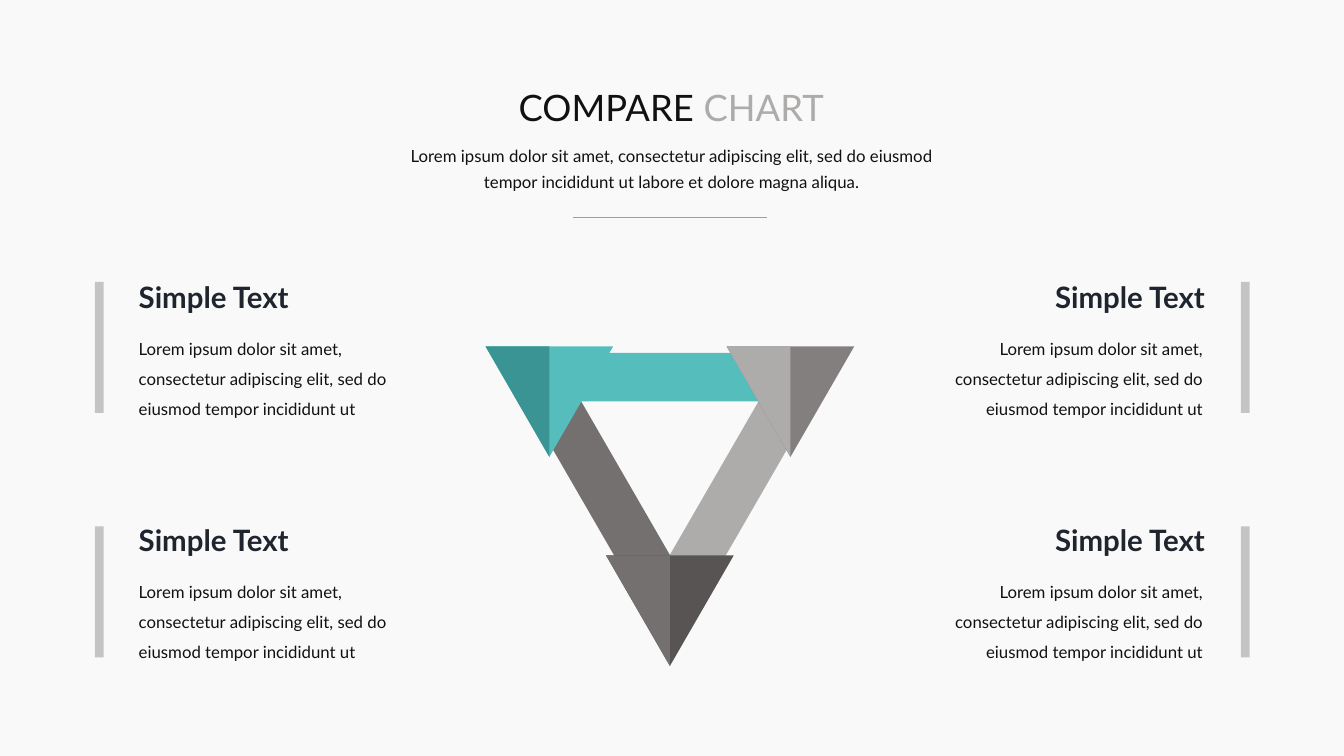
from dataclasses import dataclass

from lxml import etree
from pptx import Presentation
from pptx.dml.color import RGBColor
from pptx.enum.shapes import MSO_CONNECTOR as Connector, MSO_SHAPE as Preset
from pptx.enum.text import MSO_ANCHOR as Anchor, MSO_AUTO_SIZE as AutoSize, PP_ALIGN as Align
from pptx.oxml.ns import qn
from pptx.util import Pt

INK, HEADING_INK, SILVER, TEAL = "111111", "1E252E", "AEABAB", "56BDBD"
GRAPHITE, BAR_GREY, BACKGROUND = "757070", "C4C4C4", "F9F9F9"
FONT = "Lato"
HEADING = "Simple Text"
BODY = "Lorem ipsum dolor sit amet, consectetur adipiscing elit, sed do eiusmod tempor incididunt ut"
INTRO = ("Lorem ipsum dolor sit amet, consectetur adipiscing elit, sed do eiusmod "
         "tempor incididunt ut labore et dolore magna aliqua.")

Point = tuple[float, float]
Box = tuple[float, float, float, float]


@dataclass(frozen=True)
class Arm:
    color: str
    points: list[Point]


@dataclass(frozen=True)
class Corner:
    left: float
    top: float
    left_color: str
    right_color: str


@dataclass(frozen=True)
class Column:
    bar_left: float
    heading_left: float
    body_left: float
    body_width: float
    align: Align


@dataclass(frozen=True)
class Run:
    text: str
    size: float
    color: str = INK
    bold: bool = False


ARMS = [
    Arm(TEAL, [(355, 252), (602, 252), (582, 286.8), (375, 286.8)]),
    Arm(SILVER, [(602, 252), (478.6, 465.7), (458.5, 431), (561.9, 252)]),
    Arm(GRAPHITE, [(395.1, 252), (498.5, 431), (478.6, 465.7), (355, 252)]),
]
CORNER_WIDTH, CORNER_HEIGHT = 91.2, 79
CORNERS = [
    Corner(346.8, 247.4, "3A9494", TEAL),
    Corner(519, 247.4, SILVER, "847F7F"),
    Corner(432.9, 396.7, GRAPHITE, "585454"),
]
COLUMNS = [
    Column(67.8, 92, 92, 206, Align.LEFT),
    Column(886.4, 741.8, 672, 194.4, Align.RIGHT),
]
# Top of the bars and of the headings in each row
ROWS = [(201.3, 195.8), (376, 369.4)]


def rgb(color: str) -> RGBColor:
    return RGBColor.from_string(color)


def paint(shape, color: str) -> None:
    shape.shadow.inherit = False
    shape.fill.solid()
    shape.fill.fore_color.rgb = rgb(color)
    shape.line.fill.background()


def draw_polygon(slide, points: list[Point], color: str) -> None:
    corners = [(Pt(x), Pt(y)) for x, y in points]
    builder = slide.shapes.build_freeform(*corners[0])
    builder.add_line_segments(corners[1:], close=True)
    paint(builder.convert_to_shape(), color)


def draw_corner(slide, corner: Corner) -> None:
    left, top = corner.left, corner.top
    middle, right = left + CORNER_WIDTH / 2, left + CORNER_WIDTH
    tip = (middle, top + CORNER_HEIGHT)
    draw_polygon(slide, [(right, top), tip, (left, top)], corner.right_color)
    draw_polygon(slide, [(middle, top), (left, top), tip], corner.left_color)


def write(shape, box: Box, runs: list[Run], align: Align, wrap: bool = True,
          spacing: float = 1.0, inset: bool = True) -> None:
    shape.left, shape.top, shape.width, shape.height = map(Pt, box)
    frame = shape.text_frame
    frame_format = {"word_wrap": wrap, "auto_size": AutoSize.SHAPE_TO_FIT_TEXT,
                    "vertical_anchor": Anchor.TOP}
    if not inset:
        frame_format |= {f"margin_{side}": 0 for side in ("left", "top", "right", "bottom")}
    for name, value in frame_format.items():
        setattr(frame, name, value)
    paragraph = frame.paragraphs[0]
    paragraph.alignment = align
    paragraph.line_spacing = spacing
    for part in runs:
        run = paragraph.add_run()
        run.text = part.text
        for name, value in {"name": FONT, "size": Pt(part.size), "bold": part.bold}.items():
            setattr(run.font, name, value)
        run.font.color.rgb = rgb(part.color)


def add_text(slide, box: Box, runs: list[Run], align: Align, **options) -> None:
    write(slide.shapes.add_textbox(0, 0, 0, 0), box, runs, align, **options)


def draw_card(slide, column: Column, bar_top: float, heading_top: float) -> None:
    bar = slide.shapes.add_shape(Preset.RECTANGLE, Pt(column.bar_left), Pt(bar_top),
                                 Pt(6.2), Pt(93.6))
    paint(bar, BAR_GREY)
    add_text(slide, (column.heading_left, heading_top, 126, 32.4),
             [Run(HEADING, 21, HEADING_INK, True)], column.align, wrap=False)
    add_text(slide, (column.body_left, heading_top + 35.3, column.body_width, 70),
             [Run(BODY, 12)], column.align, spacing=1.5)


def draw_header(slide) -> None:
    write(slide.shapes.title, (367.2, 60.5, 224.6, 31.7),
          [Run("COMPARE ", 26), Run("CHART", 26, SILVER)], Align.CENTER,
          wrap=False, inset=False)
    add_text(slide, (278.6, 100.8, 402.5, 36), [Run(INTRO, 12)], Align.CENTER,
             spacing=1.25, inset=False)
    divider = slide.shapes.add_connector(Connector.STRAIGHT, Pt(409.5), Pt(155.3),
                                         Pt(548), Pt(155.3))
    divider.line.color.rgb = rgb(TEAL)
    divider.line.width = Pt(0.5)
    etree.SubElement(divider._element.spPr, qn("a:effectLst"))


def main() -> None:
    deck = Presentation()
    deck.slide_width, deck.slide_height = Pt(960), Pt(540)
    slide = deck.slides.add_slide(deck.slide_layouts[5])
    slide.background.fill.solid()
    slide.background.fill.fore_color.rgb = rgb(BACKGROUND)

    # Triangle
    for arm in ARMS:
        draw_polygon(slide, arm.points, arm.color)
    for corner in CORNERS:
        draw_corner(slide, corner)

    # Text cards on both sides
    for column in COLUMNS:
        for bar_top, heading_top in ROWS:
            draw_card(slide, column, bar_top, heading_top)

    # Title, introduction and divider
    draw_header(slide)
    deck.save("out.pptx")


if __name__ == "__main__":
    main()
